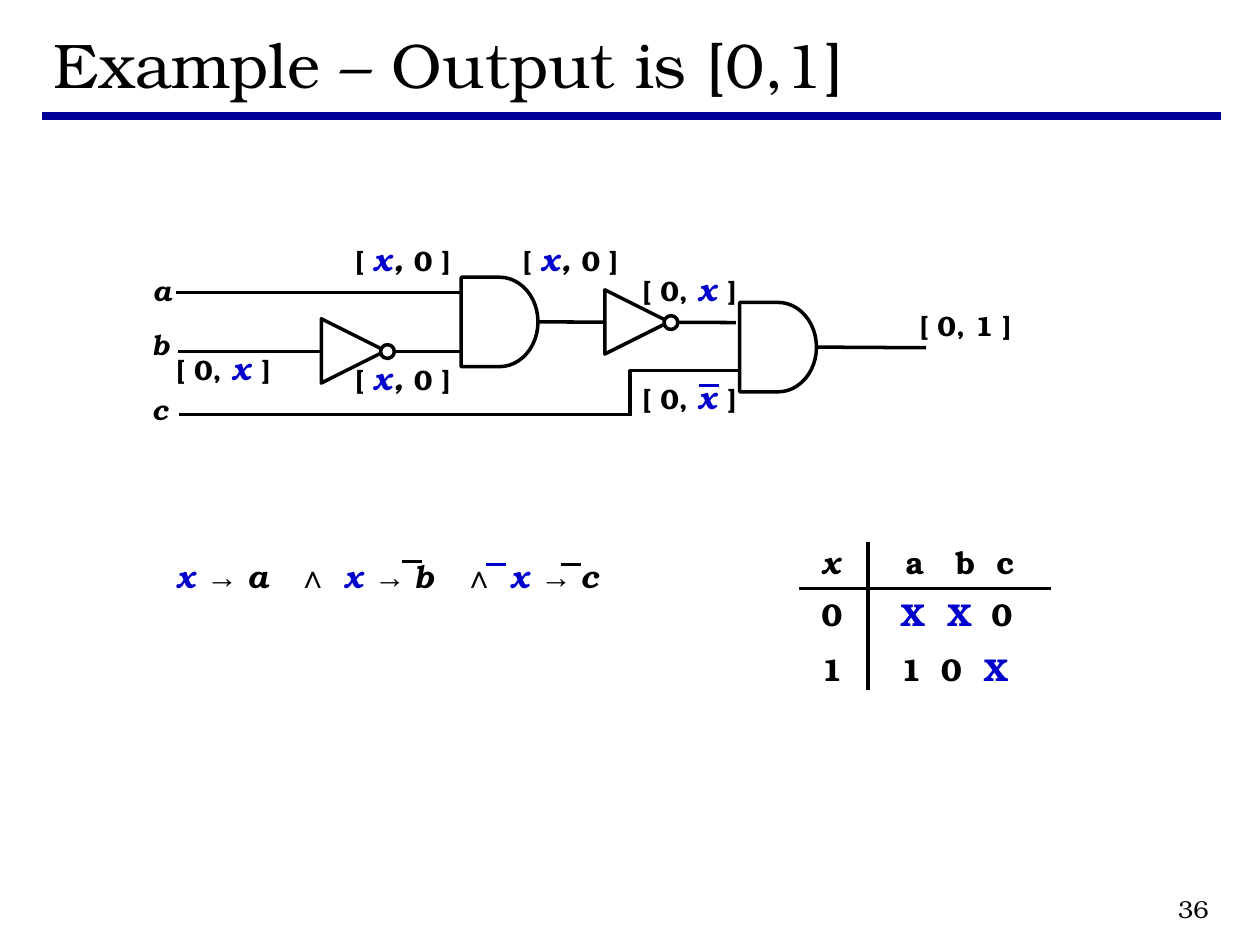
import pptx
import pptx.util
from dataclasses import dataclass, field
from typing import NamedTuple, Optional
from lxml import etree
from pptx.dml.color import RGBColor
from pptx.enum.shapes import MSO_CONNECTOR, MSO_SHAPE
from pptx.enum.text import MSO_ANCHOR, PP_ALIGN
from pptx.oxml.ns import qn


@dataclass(frozen=True)
class Theme:
    ink: str = "000000"
    blue: str = "0000CC"
    rule: str = "000099"
    paper: str = "FFFFFF"
    serif: str = "TeX Gyre Bonum"
    sans: str = "Arial"
    title: int = 36
    big: int = 18
    small: int = 16
    page: int = 14
    wire: float = 2
    bar: float = 1.75


T = Theme()
COLS, ROWS = 100, 75  # grid over the whole slide

prs = pptx.Presentation()
prs.slide_width, prs.slide_height = pptx.util.Inches(10), pptx.util.Inches(7.5)
s = prs.slides.add_slide(prs.slide_layouts[6])


def X(cols: float) -> int:
    return round(prs.slide_width * cols / COLS)


def Y(rows: float) -> int:
    return round(prs.slide_height * rows / ROWS)


class Style(NamedTuple):
    size: float = T.small
    color: str = T.ink
    bold: bool = True
    italic: bool = False
    name: str = T.serif


PLAIN = Style()
BIG = Style(T.big)
VAR = Style(T.big, T.ink, italic=True)
BLUE_VAR = Style(T.big, T.blue, italic=True)
BLUE = Style(T.big, T.blue)
SIGN = Style(T.big, name=T.sans)
INPUT = Style(italic=True)


@dataclass
class Text:
    x: float
    y: float
    w: float
    runs: list
    h: float = 4
    stops: tuple = ()  # tab stops, in columns from the text's left edge
    frame: dict = field(default_factory=dict)
    align: Optional[PP_ALIGN] = None


class Wire(NamedTuple):
    x1: float
    y1: float
    x2: float
    y2: float
    color: str = T.ink
    width: float = T.wire
    source: object = None  # gate whose output starts the wire


def draw_text(t: Text) -> None:
    tf = s.shapes.add_textbox(X(t.x), Y(t.y), X(t.w), Y(t.h)).text_frame
    for key, value in {"word_wrap": True, **t.frame}.items():
        setattr(tf, key, value)
    p = tf.paragraphs[0]
    p.alignment = t.align
    if t.stops:
        tabs = etree.SubElement(p._p.get_or_add_pPr(), qn("a:tabLst"))
        for stop in t.stops:
            etree.SubElement(tabs, qn("a:tab"), pos=str(X(stop)), algn="l")
    for words, style in t.runs:
        r = p.add_run()
        r.text = words
        form = style._asdict()
        r.font.color.rgb = RGBColor.from_string(form.pop("color"))
        form["size"] = pptx.util.Pt(form["size"])
        for key, value in form.items():
            setattr(r.font, key, value)


def draw_wire(w: Wire) -> None:
    c = s.shapes.add_connector(MSO_CONNECTOR.STRAIGHT, X(w.x1), Y(w.y1), X(w.x2), Y(w.y2))
    c.line.color.rgb = RGBColor.from_string(w.color)
    c.line.width = pptx.util.Pt(w.width)
    etree.SubElement(c._element.spPr, qn("a:effectLst"))
    if w.source is not None:
        c.begin_connect(w.source, 3)


def draw_part(kind: MSO_SHAPE, x: float, y: float, w: float, h: float, turn: float = 0):
    sp = s.shapes.add_shape(kind, X(x), Y(y), X(w), Y(h))
    sp.shadow.inherit = False
    sp.rotation = turn
    sp.fill.solid()
    sp.fill.fore_color.rgb = RGBColor.from_string(T.paper)
    sp.line.color.rgb = RGBColor.from_string(T.ink)
    sp.line.width = pptx.util.Pt(T.wire)
    return sp


def draw_and_gate(x: float, y: float):
    return draw_part(MSO_SHAPE.FLOWCHART_DELAY, x, y, 6.1, 7.1)


def draw_inverter(x: float, y: float) -> None:
    draw_part(MSO_SHAPE.FLOWCHART_EXTRACT, x, y, 5.1, 5.1, 90)
    draw_part(MSO_SHAPE.OVAL, x + 4.7, y + 2.05, 1.1, 1.1)


def x_first(x: float, y: float) -> Text:
    return Text(x, y, 10.2, [("[ ", PLAIN), ("x", BLUE_VAR), (", ", VAR), ("0 ]", PLAIN)])


def x_second(x: float, y: float) -> Text:
    return Text(x, y, 10.2, [("[ 0, ", PLAIN), ("x ", BLUE_VAR), ("]", PLAIN)])


# Title, rule and page number
middle = {"vertical_anchor": MSO_ANCHOR.MIDDLE}
draw_wire(Wire(3.3, 9.2, 96.9, 9.2, T.rule, 5))
draw_text(Text(3.3, 1.7, 93.6, [("Example – Output is [0,1]", Style(T.title, bold=False))],
               6.7, frame=middle))
draw_text(Text(76.1, 70, 20.8, [("36", Style(T.page, bold=False))], 4.2,
               frame=middle, align=PP_ALIGN.RIGHT))

# Circuit: gates, then wires, then inverters on top of the wires
gate1, gate2 = draw_and_gate(36.6, 22), draw_and_gate(58.7, 24)
for wire in (
    Wire(14, 23.2, 36.6, 23.2),
    Wire(14.1, 27.9, 36.6, 27.9),
    Wire(14.2, 32.9, 50.1, 32.9),
    Wire(50, 33, 50, 29.4),
    Wire(49.9, 29.4, 58.6, 29.4),
    Wire(42.7, 25.6, 58.4, 25.6, source=gate1),
    Wire(64.8, 27.6, 73.5, 27.6, source=gate2),
):
    draw_wire(wire)
for corner in ((48, 23), (25.5, 25.3)):
    draw_inverter(*corner)

# Input names and signal values
for name, y in (("a", 21.2), ("b", 25.5), ("c", 30.7)):
    draw_text(Text(11.1, y, 3.5, [(name, INPUT)], 3.7))
for x, y in ((27.2, 18.6), (40.5, 18.6), (27.2, 28)):
    draw_text(x_first(x, y))
for x, y in ((13, 27.2), (50, 20.9), (50, 29.5)):
    draw_text(x_second(x, y))
draw_text(Text(72, 24, 10.2, [("[ 0, 1 ]", PLAIN)], 3.7))
draw_wire(Wire(55.5, 30.6, 57.1, 30.6, T.blue, 1.5))

# Formula with its negation bars
arrow, wedge, x_var = ("→ ", SIGN), ("\t∧\t", SIGN), ("x ", BLUE_VAR)
draw_text(Text(13, 43.7, 37.8,
               [x_var, arrow, ("a", VAR), wedge, x_var, arrow, ("b", VAR), wedge,
                x_var, arrow, ("c", VAR)],
               stops=(9.6, 13.3, 22.8, 26.5)))
for x, y, color in ((31.9, 44.6, T.ink), (38.6, 44.8, T.blue), (44.5, 44.8, T.ink)):
    draw_wire(Wire(x, y, x + 1.6, y, color, T.bar))

# Truth table: key column, then three values on tab stops
for y, key, x, stops, values in (
    (42.6, ("x", VAR), 70.9, (4, 7.2), [("a\tb\tc", BIG)]),
    (46.7, ("0", BIG), 70.5, (3.7, 7.2), [("X\tX", BLUE), ("\t0", BIG)]),
    (51.1, ("1", BIG), 70.5, (3.2, 6.6), [("1\t0\t", BIG), ("X", BLUE)]),
):
    draw_text(Text(64.2, y, 13.3, [key]))
    draw_text(Text(x, y, 13.3, values, stops=stops))
draw_wire(Wire(63.4, 46.7, 83.4, 46.7))
draw_wire(Wire(68.9, 43, 68.9, 54.8))

prs.save("out.pptx")
